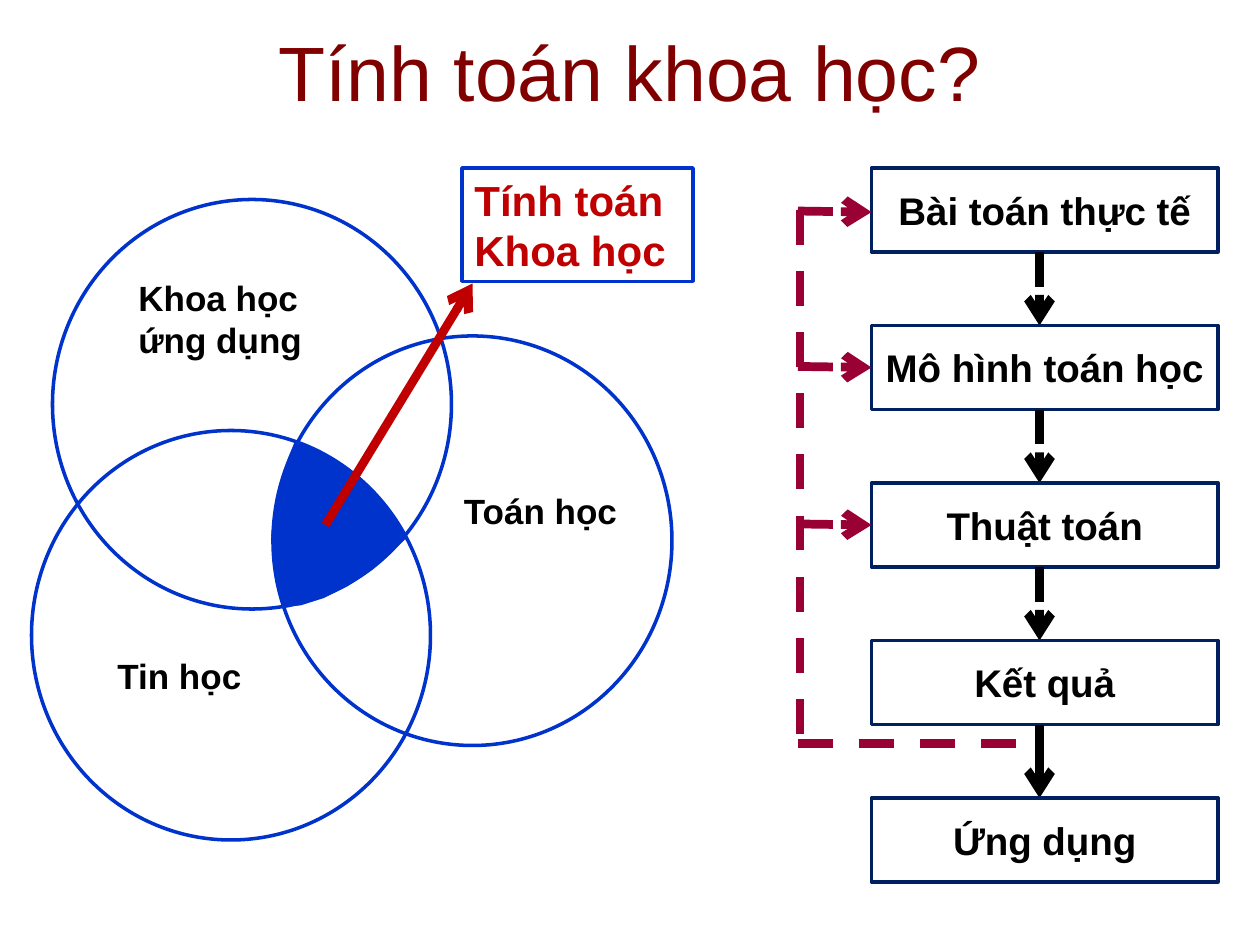
from dataclasses import dataclass
from typing import NamedTuple

from lxml.etree import SubElement
from pptx import Presentation
from pptx.dml.color import RGBColor
from pptx.enum.dml import MSO_LINE_DASH_STYLE as Dash
from pptx.enum.shapes import MSO_CONNECTOR as Connector, MSO_SHAPE as Preset
from pptx.enum.text import MSO_ANCHOR as Anchor, PP_ALIGN as Align
from pptx.oxml.ns import qn
from pptx.util import Emu, Pt

PX = 7620  # EMU per px, 120 px to the inch


@dataclass(frozen=True)
class Theme:
    font: str = "Arial"
    title: str = "800000"
    venn: str = "0033CC"
    step: str = "002060"
    ink: str = "000000"
    feedback: str = "990033"
    accent: str = "C00000"
    title_size: int = 44
    callout_size: int = 24
    step_size: int = 22
    label_size: int = 20
    outline: int = 2
    arrow: int = 5


class Box(NamedTuple):
    left: int
    top: int
    width: int
    height: int


class Label(NamedTuple):
    text: str
    box: Box


class Point(NamedTuple):
    x: int
    y: int


THEME = Theme()

CIRCLES = [Box(x, y, 380, 390) for x, y in ((50, 190), (30, 410), (260, 320))]
LABELS = [
    Label("Khoa học\nứng dụng", Box(120, 257, 190, 92)),
    Label("Tin học", Box(100, 617, 190, 53)),
    Label("Toán học", Box(430, 460, 190, 53)),
]
OVERLAP = [
    Point(282, 422), Point(304, 431), Point(323, 442), Point(342, 456),
    Point(360, 475), Point(374, 493), Point(386, 511), Point(371, 526),
    Point(354, 541), Point(330, 557), Point(308, 568), Point(286, 575),
    Point(270, 576), Point(264, 553), Point(262, 532), Point(260, 510),
    Point(263, 486), Point(269, 460), Point(276, 437),
]
STEPS = ["Bài toán thực tế", "Mô hình toán học", "Thuật toán", "Kết quả", "Ứng dụng"]
FIRST_STEP = Box(830, 160, 330, 80)
STEP_PITCH = 150
FLOW_X = 990
FEEDBACK_X = 760


def emu(*lengths: int) -> list[Emu]:
    return [Emu(length * PX) for length in lengths]


def rgb(colour: str) -> RGBColor:
    return RGBColor.from_string(colour)


def write(shape, text: str, *, size: int, colour: str, bold: bool = True,
          align: Align = Align.LEFT, anchor: Anchor = Anchor.TOP, wrap: bool = True) -> None:
    frame = shape.text_frame
    frame.word_wrap = wrap
    frame.vertical_anchor = anchor
    frame.text = text
    for paragraph in frame.paragraphs:
        paragraph.alignment = align
        font = paragraph.font
        font.name, font.size, font.bold = THEME.font, Pt(size), bold
        font.color.rgb = rgb(colour)


def add_text(slide, label: Label, **style) -> None:
    write(slide.shapes.add_textbox(*emu(*label.box)), label.text, **style)


def outline(shape, colour: str, fill: str | None = None) -> None:
    shape.shadow.inherit = False
    if fill:
        shape.fill.solid()
        shape.fill.fore_color.rgb = rgb(fill)
    else:
        shape.fill.background()
    shape.line.color.rgb = rgb(colour)
    shape.line.width = Pt(THEME.outline)


def add_outlined(slide, preset: Preset, box: Box, colour: str):
    shape = slide.shapes.add_shape(preset, *emu(*box))
    outline(shape, colour)
    return shape


def add_line(slide, start: Point, end: Point, colour: str, *,
             dashed: bool = False, arrow: bool = True) -> None:
    connector = slide.shapes.add_connector(Connector.STRAIGHT, *emu(*start, *end))
    connector.line.color.rgb = rgb(colour)
    connector.line.width = Pt(THEME.arrow)
    if dashed:
        connector.line.dash_style = Dash.DASH
    properties = connector._element.spPr
    if arrow:
        SubElement(properties.find(qn("a:ln")), qn("a:tailEnd"), type="arrow")
    SubElement(properties, qn("a:effectLst"))


def draw_flow(slide) -> None:
    # Steps and the arrows between them
    last = len(STEPS) - 1
    for index, step in enumerate(STEPS):
        box = FIRST_STEP._replace(top=FIRST_STEP.top + index * STEP_PITCH)
        write(add_outlined(slide, Preset.RECTANGLE, box, THEME.step), step,
              size=THEME.step_size, colour=THEME.ink, align=Align.CENTER,
              anchor=Anchor.MIDDLE, wrap=False)
        if index < last:
            add_line(slide, Point(FLOW_X, box.top + box.height),
                     Point(FLOW_X, box.top + STEP_PITCH), THEME.ink,
                     dashed=index < last - 1)

    # Feedback from the result to the first three steps
    for y in (202, 350, 500):
        add_line(slide, Point(FEEDBACK_X, y - 1), Point(FIRST_STEP.left, y),
                 THEME.feedback, dashed=True)
    for start, end in ((Point(FEEDBACK_X, 708), Point(FLOW_X, 708)),
                       (Point(FEEDBACK_X + 2, 200), Point(FEEDBACK_X + 2, 710))):
        add_line(slide, start, end, THEME.feedback, dashed=True, arrow=False)


def draw_venn(slide) -> None:
    for circle in CIRCLES:
        add_outlined(slide, Preset.OVAL, circle, THEME.venn)
    for label in LABELS:
        add_text(slide, label, size=THEME.label_size, colour=THEME.ink)

    # Callout naming the shared area
    callout = add_outlined(slide, Preset.RECTANGLE, Box(440, 160, 220, 108), THEME.venn)
    write(callout, "Tính toán\nKhoa học", size=THEME.callout_size, colour=THEME.accent)
    builder = slide.shapes.build_freeform(*OVERLAP[0], scale=PX)
    builder.add_line_segments(OVERLAP[1:], close=True)
    outline(builder.convert_to_shape(), THEME.venn, fill=THEME.venn)
    add_line(slide, Point(310, 500), Point(450, 270), THEME.accent)


def main() -> None:
    deck = Presentation()
    deck.slide_width, deck.slide_height = emu(1200, 900)
    slide = deck.slides.add_slide(deck.slide_layouts[6])
    add_text(slide, Label("Tính toán khoa học?", Box(60, 10, 1080, 114)),
             size=THEME.title_size, colour=THEME.title, bold=False,
             align=Align.CENTER, anchor=Anchor.MIDDLE)
    draw_flow(slide)
    draw_venn(slide)
    deck.save("out.pptx")


if __name__ == "__main__":
    main()
